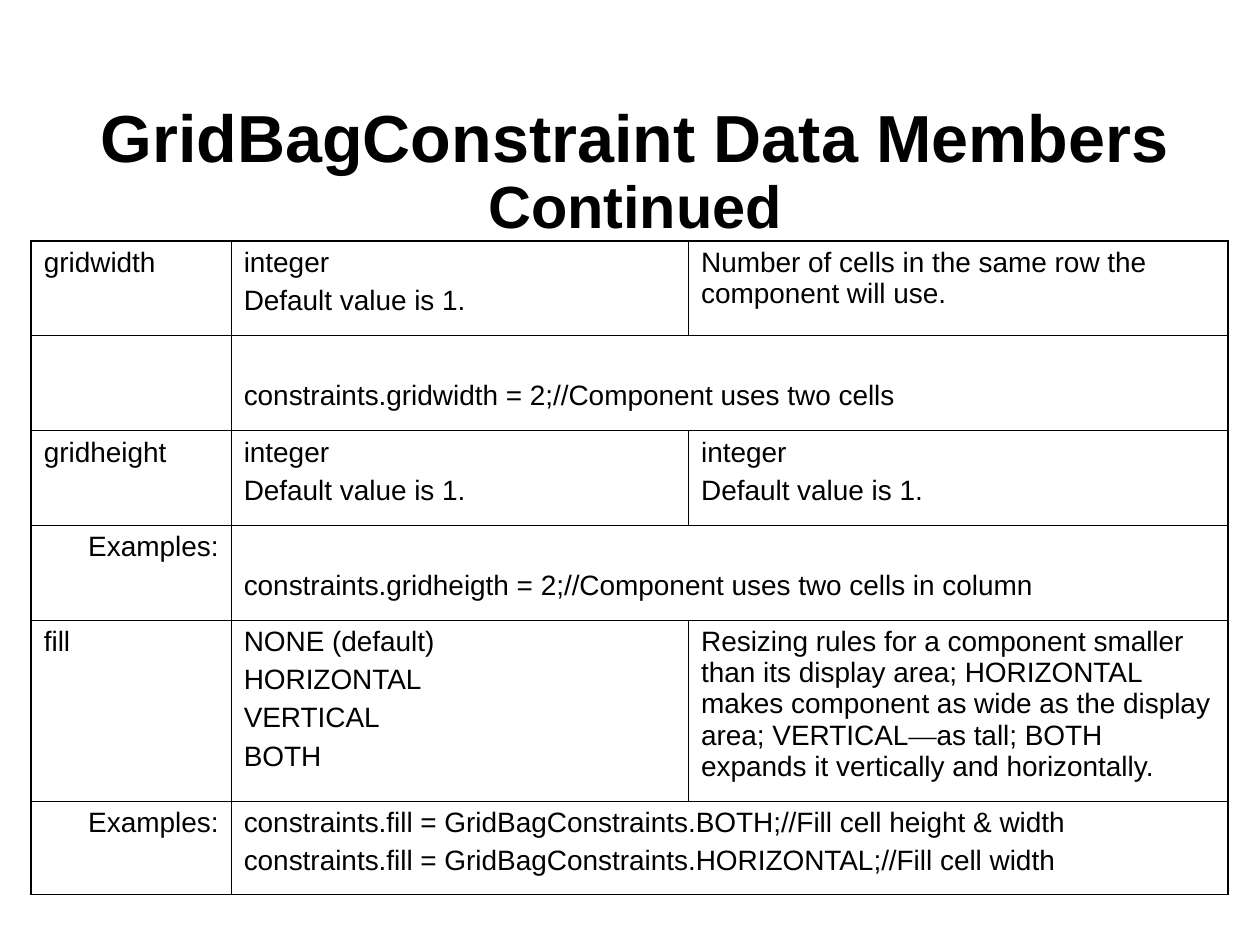
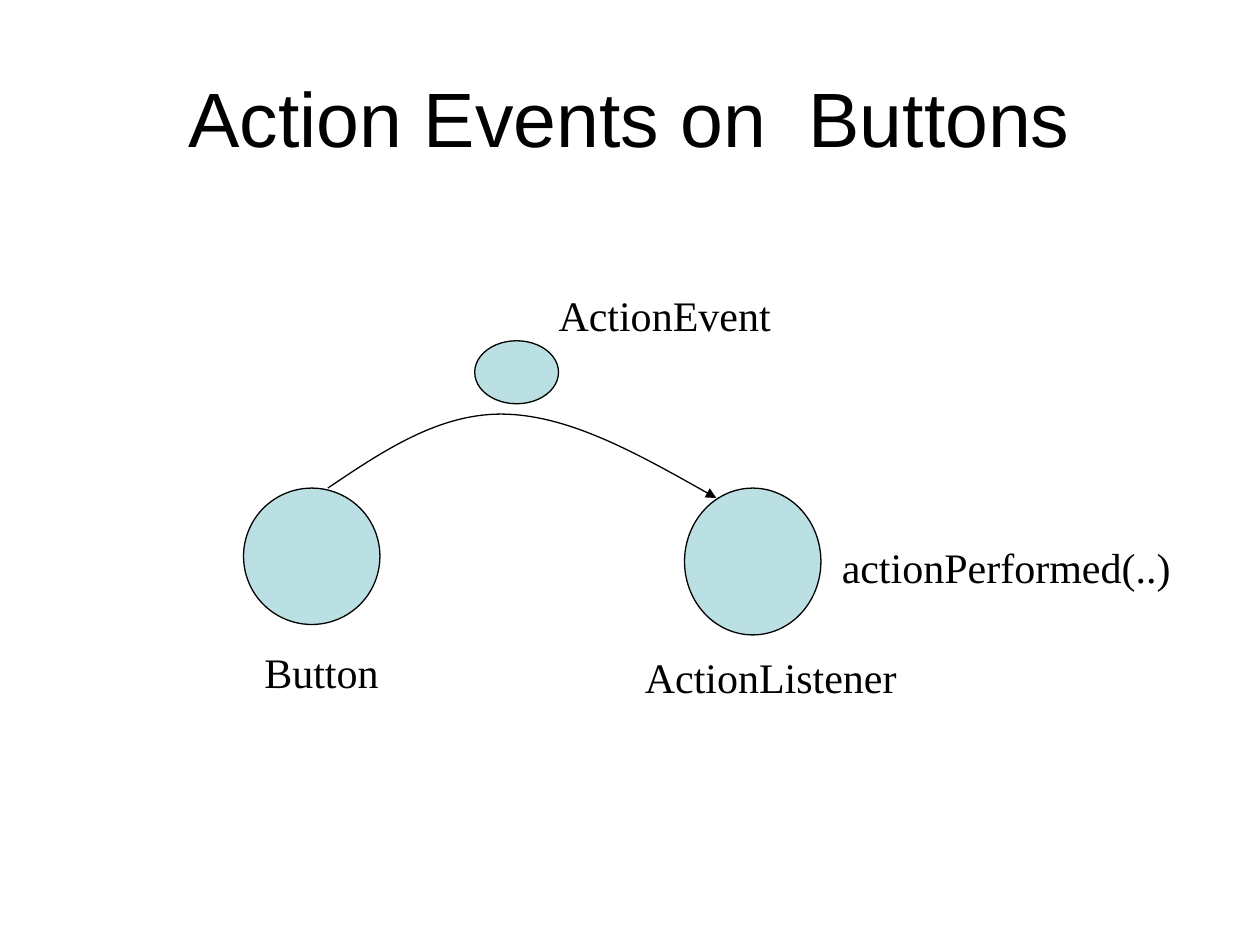
"""Build two slides: a table of layout constraints and an event diagram."""
from typing import NamedTuple

from lxml import etree
from pptx import Presentation
from pptx.dml.color import RGBColor
from pptx.enum.shapes import MSO_SHAPE
from pptx.enum.text import MSO_ANCHOR, MSO_AUTO_SIZE, PP_ALIGN
from pptx.oxml.ns import qn
from pptx.util import Cm, Pt

OVAL = MSO_SHAPE.OVAL
MID = MSO_ANCHOR.MIDDLE
LEFT, MID_AL, RIGHT = PP_ALIGN.LEFT, PP_ALIGN.CENTER, PP_ALIGN.RIGHT
FIXED, GROW = MSO_AUTO_SIZE.NONE, MSO_AUTO_SIZE.SHAPE_TO_FIT_TEXT

INK = {"text": "000000", "line": "000000", "node": "BBE0E3"}
SANS, SERIF = "Arial", "Times New Roman"
THIN, THICK = 0.45, 1.08


class Box(NamedTuple):
    """Place and size in centimetres."""
    x: float
    y: float
    w: float
    h: float

    def cm(self) -> list:
        """Return the four lengths for python-pptx."""
        return [Cm(v) for v in self]


class Run(NamedTuple):
    """A piece of text in one style."""
    text: str
    size: float = 16
    font: str = SANS
    bold: bool = False


class Entry(NamedTuple):
    """A table cell: lines of runs, alignment, columns used and top inset."""
    lines: tuple = ()
    align: int = LEFT
    span: int = 1
    top: float = 0.13


class Label(NamedTuple):
    """A caption beside a node."""
    text: str
    box: Box


def entry(*texts: str, align: int = LEFT, span: int = 1, top: float = 0.13) -> Entry:
    """Make a cell with one plain run to each line."""
    return Entry(tuple((Run(t),) for t in texts), align, span, top)


WHOLE = entry("integer", "Default value is 1.")
CASES = entry("Examples:", align=RIGHT)
DROP = 0.9
RULES = (
    Run("Resizing rules for a component smaller than its display area; HORIZONTAL "
        "makes component as wide as the display area; VERTICAL"),
    Run("—", font=SERIF),
    Run("as tall; BOTH expands it vertically and horizontally."),
)
ROWS = (
    (entry("gridwidth"), WHOLE,
     entry("Number of cells in the same row the component will use.")),
    (Entry(), entry("constraints.gridwidth = 2;//Component uses two cells",
                    span=2, top=DROP)),
    (entry("gridheight"), WHOLE, WHOLE),
    (CASES, entry("constraints.gridheigth = 2;//Component uses two cells in column",
                  span=2, top=DROP)),
    (entry("fill"), entry("NONE (default)", "HORIZONTAL", "VERTICAL", "BOTH"),
     Entry((RULES,))),
    (CASES, entry("constraints.fill = GridBagConstraints.BOTH;//Fill cell height & width",
                  "constraints.fill = GridBagConstraints.HORIZONTAL;//Fill cell width",
                  span=2)),
)
WIDTHS = (4.03, 9.22, 10.88)
HEIGHTS = (1.91, 1.91, 1.91, 1.91, 3.65, 1.88)

NODES = (
    Box(4.91, 9.84, 2.75, 2.75),
    Box(13.8, 9.84, 2.75, 2.96),
    Box(9.57, 6.87, 1.69, 1.27),
)
LABELS = (
    Label("Button", Box(5.08, 12.91, 2.82, 1.27)),
    Label("ActionListener", Box(12.75, 13.01, 5.58, 1.27)),
    Label("ActionEvent", Box(11.01, 5.71, 4.84, 1.27)),
    Label("actionPerformed(..)", Box(16.72, 10.79, 7.14, 1.27)),
)
CURVE = ((6.61, 9.84), (7.75, 9.07), (8.89, 8.31), (10.2, 8.35),
         (11.51, 8.39), (12.97, 9.21), (14.44, 10.04))


def rgb(name: str) -> RGBColor:
    """Look up a colour by its role."""
    return RGBColor.from_string(INK[name])


def write(para, runs: tuple, align: int = LEFT) -> None:
    """Add the runs to a paragraph."""
    para.alignment = align
    for item in runs:
        run = para.add_run()
        run.text = item.text
        run.font.size = Pt(item.size)
        run.font.name = item.font
        run.font.bold = item.bold
        run.font.color.rgb = rgb("text")


def start(deck, box: Box, runs: tuple, pitch: float = 1.0):
    """Add a slide with its title in place."""
    slide = deck.slides.add_slide(deck.slide_layouts[5])
    title = slide.shapes.title
    title.left, title.top, title.width, title.height = box.cm()
    frame = title.text_frame
    frame.auto_size = FIXED
    frame.vertical_anchor = MID
    para = frame.paragraphs[0]
    para.line_spacing = pitch
    write(para, runs, MID_AL)
    return slide


def edge(cell, side: str, width: float) -> None:
    """Draw one border of a cell."""
    line = etree.SubElement(cell._tc.get_or_add_tcPr(), qn(f"a:ln{side}"), w=str(Pt(width)))
    fill = etree.SubElement(line, qn("a:solidFill"))
    etree.SubElement(fill, qn("a:srgbClr"), val=INK["line"])


def fill_cell(cell, item: Entry) -> None:
    """Write the lines of one cell."""
    cell.margin_top = Cm(item.top)
    frame = cell.text_frame
    for i, runs in enumerate(item.lines):
        para = frame.add_paragraph() if i else frame.paragraphs[0]
        if i:
            para.space_before = Pt(4)
        write(para, runs, item.align)


def add_grid(slide) -> None:
    """Add the table of data members."""
    box = Box(0.63, 4.86, sum(WIDTHS), sum(HEIGHTS))
    grid = slide.shapes.add_table(len(ROWS), len(WIDTHS), *box.cm()).table
    grid.first_row = grid.horz_banding = False
    for col, width in zip(grid.columns, WIDTHS):
        col.width = Cm(width)
    for row, height in zip(grid.rows, HEIGHTS):
        row.height = Cm(height)
    last_r, last_c = len(ROWS) - 1, len(WIDTHS) - 1
    for r, items in enumerate(ROWS):
        for c, item in enumerate(items):
            end = c + item.span - 1
            if item.span > 1:
                grid.cell(r, c).merge(grid.cell(r, end))
            fill_cell(grid.cell(r, c), item)
            for k in range(c, end + 1):
                cell = grid.cell(r, k)
                if k == c:
                    edge(cell, "L", THIN if c else THICK)
                edge(cell, "R", THICK if end == last_c else THIN)
                edge(cell, "T", THIN if r else THICK)
                edge(cell, "B", THICK if r == last_r else THIN)
                cell.fill.background()


def add_node(slide, box: Box) -> None:
    """Add one outlined oval."""
    node = slide.shapes.add_shape(OVAL, *box.cm())
    node.shadow.inherit = False
    node.fill.solid()
    node.fill.fore_color.rgb = rgb("node")
    node.line.color.rgb = rgb("line")
    node.line.width = Pt(0.75)


def add_label(slide, label: Label) -> None:
    """Add one caption."""
    frame = slide.shapes.add_textbox(*label.box.cm()).text_frame
    frame.word_wrap = False
    frame.auto_size = GROW
    write(frame.paragraphs[0], (Run(label.text, 24, SERIF),))


def add_curve(slide, points: tuple) -> None:
    """Add a curved arrow through cubic control points."""
    first, *rest = [(Cm(x), Cm(y)) for x, y in points]
    pen = slide.shapes.build_freeform(*first)
    pen.add_line_segments(rest, close=False)
    curve = pen.convert_to_shape()
    steps = list(curve._element.iter(qn("a:lnTo")))
    for i in range(0, len(steps), 3):
        bend = etree.Element(qn("a:cubicBezTo"))
        steps[i].addprevious(bend)
        for step in steps[i:i + 3]:
            bend.append(step[0])
            step.getparent().remove(step)
    curve.shadow.inherit = False
    curve.fill.background()
    curve.line.color.rgb = rgb("line")
    curve.line.width = Pt(0.75)
    etree.SubElement(curve.line._get_or_add_ln(), qn("a:tailEnd"), type="triangle")


def main() -> None:
    """Build and save the deck."""
    deck = Presentation()
    deck.slide_width, deck.slide_height = Cm(25.4), Cm(19.05)

    slide = start(deck, Box(0.42, 1.9, 24.77, 3.18),
                  (Run("GridBagConstraint Data Members ", 38, bold=True),
                   Run("Continued", 34, bold=True)), 0.9)
    add_grid(slide)

    slide = start(deck, Box(1.27, 0.76, 22.86, 3.18),
                  (Run("Action Events on  Buttons", 44),))
    for box in NODES:
        add_node(slide, box)
    add_curve(slide, CURVE)
    for label in LABELS:
        add_label(slide, label)

    deck.save("out.pptx")


if __name__ == "__main__":
    main()
